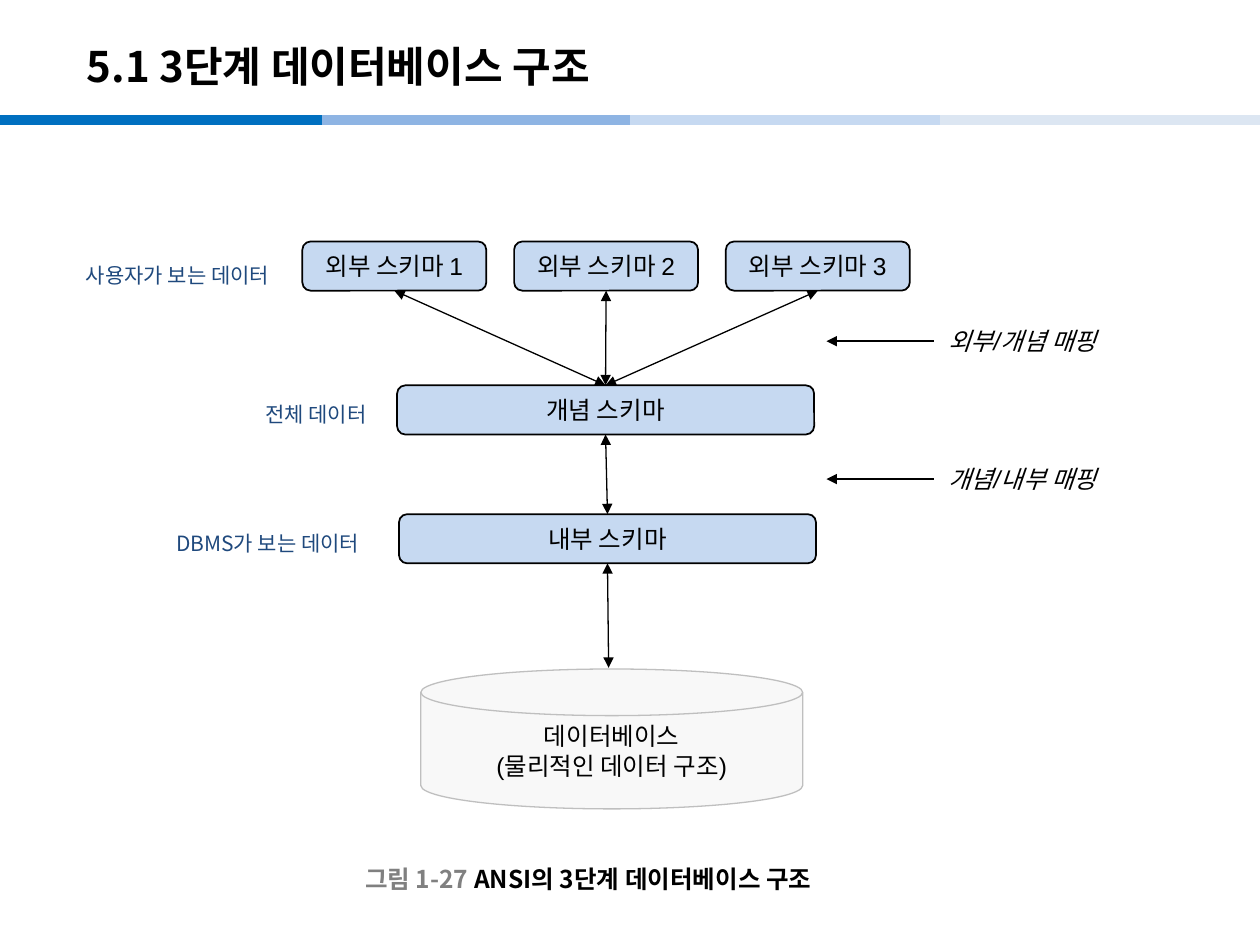
from lxml.etree import SubElement
from pptx import Presentation
from pptx.dml.color import RGBColor
from pptx.enum.shapes import MSO_CONNECTOR, MSO_SHAPE
from pptx.enum.text import MSO_ANCHOR, PP_ALIGN
from pptx.oxml.ns import qn
from pptx.util import Pt

BLACK = RGBColor(0x00, 0x00, 0x00)
WHITE = RGBColor(0xFF, 0xFF, 0xFF)
GRAY = RGBColor(0x80, 0x80, 0x80)
NAVY = RGBColor(0x1F, 0x49, 0x7D)
SCHEMA_BLUE = RGBColor(0xC6, 0xD9, 0xF1)
DISK_FILL = RGBColor(0xF2, 0xF2, 0xF2)
DISK_LINE = RGBColor(0xBF, 0xBF, 0xBF)
BAND_COLORS = [RGBColor(0x00, 0x70, 0xC0), RGBColor(0x8E, 0xB4, 0xE3),
               SCHEMA_BLUE, RGBColor(0xDC, 0xE6, 0xF2)]
BAND_LEFTS = [0, 184.3, 360, 537.1]
BAND_WIDTH = 184.3
KOREAN_FONT = "Noto Sans CJK KR"
BOX_FONT = "Arial"
BOX_HEIGHT = 28.1
TOP, LEFT, BOTTOM = 0, 1, 2


def add_run(paragraph, text, size, color, font_name, bold=False, italic=False):
    """Append one formatted run to a paragraph."""
    run = paragraph.add_run()
    run.text = text
    font = run.font
    font.size = Pt(size)
    font.name = font_name
    font.bold = bold
    font.italic = italic
    font.color.rgb = color
    SubElement(run._r.get_or_add_rPr(), qn("a:ea"), typeface=KOREAN_FONT)


def add_text(slide, left, top, width, height, runs, size, bold=False,
             anchor=MSO_ANCHOR.TOP, wrap=False):
    """Add a text box whose runs are (text, color) pairs."""
    box = slide.shapes.add_textbox(Pt(left), Pt(top), Pt(width), Pt(height))
    frame = box.text_frame
    frame.word_wrap = wrap
    frame.vertical_anchor = anchor
    for text, color in runs:
        add_run(frame.paragraphs[0], text, size, color, KOREAN_FONT, bold)


def add_box(slide, kind, left, top, width, height, lines, fill,
            line_color=None, line_width=1, alignment=PP_ALIGN.CENTER, italic=False):
    """Add a filled shape with one paragraph for each line of text."""
    shape = slide.shapes.add_shape(kind, Pt(left), Pt(top), Pt(width), Pt(height))
    shape.shadow.inherit = False
    shape.fill.solid()
    shape.fill.fore_color.rgb = fill
    if line_color is None:
        shape.line.fill.background()
    else:
        shape.line.color.rgb = line_color
        shape.line.width = Pt(line_width)
    frame = shape.text_frame
    frame.word_wrap = False
    frame.vertical_anchor = MSO_ANCHOR.MIDDLE
    for index, text in enumerate(lines):
        paragraph = frame.add_paragraph() if index else frame.paragraphs[0]
        paragraph.alignment = alignment
        add_run(paragraph, text, 14, BLACK, BOX_FONT, italic=italic)
    return shape


def add_schema(slide, left, top, width, text):
    """Add a rounded schema box."""
    return add_box(slide, MSO_SHAPE.ROUNDED_RECTANGLE, left, top, width,
                   BOX_HEIGHT, [text], SCHEMA_BLUE, BLACK)


def add_line(slide, start, end, color=BLACK, width=0.75, arrows=(),
             begin_site=None, end_site=None):
    """Add a straight line, joined to (shape, site) pairs where given."""
    line = slide.shapes.add_connector(
        MSO_CONNECTOR.STRAIGHT, *(Pt(value) for value in (*start, *end)))
    if begin_site:
        line.begin_connect(*begin_site)
    if end_site:
        line.end_connect(*end_site)
    line.line.color.rgb = color
    line.line.width = Pt(width)
    outline = line.line._get_or_add_ln()
    for arrow in arrows:
        SubElement(outline, qn(arrow), type="triangle")
    SubElement(line._element.spPr, qn("a:effectLst"))


def add_link(slide, upper, lower):
    """Join the bottom of one box to the top of another, arrows at both ends."""
    add_line(slide, (0, 0), (0, 0), arrows=("a:headEnd", "a:tailEnd"),
             begin_site=(upper, BOTTOM), end_site=(lower, TOP))


def add_mapping(slide, top, text):
    """Add a mapping label with an arrow pointing left from it."""
    label = add_box(slide, MSO_SHAPE.ROUNDED_RECTANGLE, 533.5, top, 121.7, BOX_HEIGHT,
                    [text], WHITE, alignment=PP_ALIGN.LEFT, italic=True)
    middle = top + BOX_HEIGHT / 2
    add_line(slide, (533.5, middle), (472.3, middle), arrows=("a:tailEnd",),
             begin_site=(label, LEFT))


def add_database(slide):
    """Add the half-transparent database disk."""
    disk = add_box(slide, MSO_SHAPE.FLOWCHART_MAGNETIC_DISK, 240.5, 382.3, 218.2, 79.9,
                   ["데이터베이스", "(물리적인 데이터 구조)"], DISK_FILL, DISK_LINE, 0.75)
    color = disk._element.spPr.find(qn("a:solidFill")).find(qn("a:srgbClr"))
    SubElement(color, qn("a:alpha"), val="50000")


def main():
    """Build the three-level database structure slide."""
    presentation = Presentation()
    presentation.slide_width = Pt(720)
    presentation.slide_height = Pt(540)
    slide = presentation.slides.add_slide(presentation.slide_layouts[6])

    for left, color in zip(BAND_LEFTS, BAND_COLORS):
        add_line(slide, (left, 68.5), (left + BAND_WIDTH, 68.5), color, 6)
    add_text(slide, 42.5, 16, 595.4, 43.2, [("5.1 3단계 데이터베이스 구조", BLACK)],
             24, True, MSO_ANCHOR.MIDDLE, True)
    add_text(slide, 201.6, 491, 286, 22.3,
             [("그림 1-27 ", GRAY), ("ANSI의 3단계 데이터베이스 구조", BLACK)],
             14, True, MSO_ANCHOR.MIDDLE)

    conceptual = add_schema(slide, 226.9, 220.2, 238.3, "개념 스키마")
    internal = add_schema(slide, 228, 293.8, 238.3, "내부 스키마")
    for index in range(3):
        external = add_schema(slide, 172.8 + 121 * index, 138, 105.1,
                              f"외부 스키마 {index + 1}")
        add_link(slide, external, conceptual)
    add_link(slide, conceptual, internal)
    add_database(slide)
    add_line(slide, (347.2, 321.9), (347.8, 381.6), arrows=("a:headEnd", "a:tailEnd"),
             begin_site=(internal, BOTTOM))

    add_mapping(slide, 180.9, "외부/개념 매핑")
    add_mapping(slide, 259.7, "개념/내부 매핑")

    for left, top, width, text in [(42, 146.2, 119.9, "사용자가 보는 데이터"),
                                   (144.5, 226, 79.2, "전체 데이터"),
                                   (93.6, 299.5, 128.9, "DBMS가 보는 데이터")]:
        add_text(slide, left, top, width, 21.8, [(text, NAVY)], 12)

    presentation.save("out.pptx")


if __name__ == "__main__":
    main()
